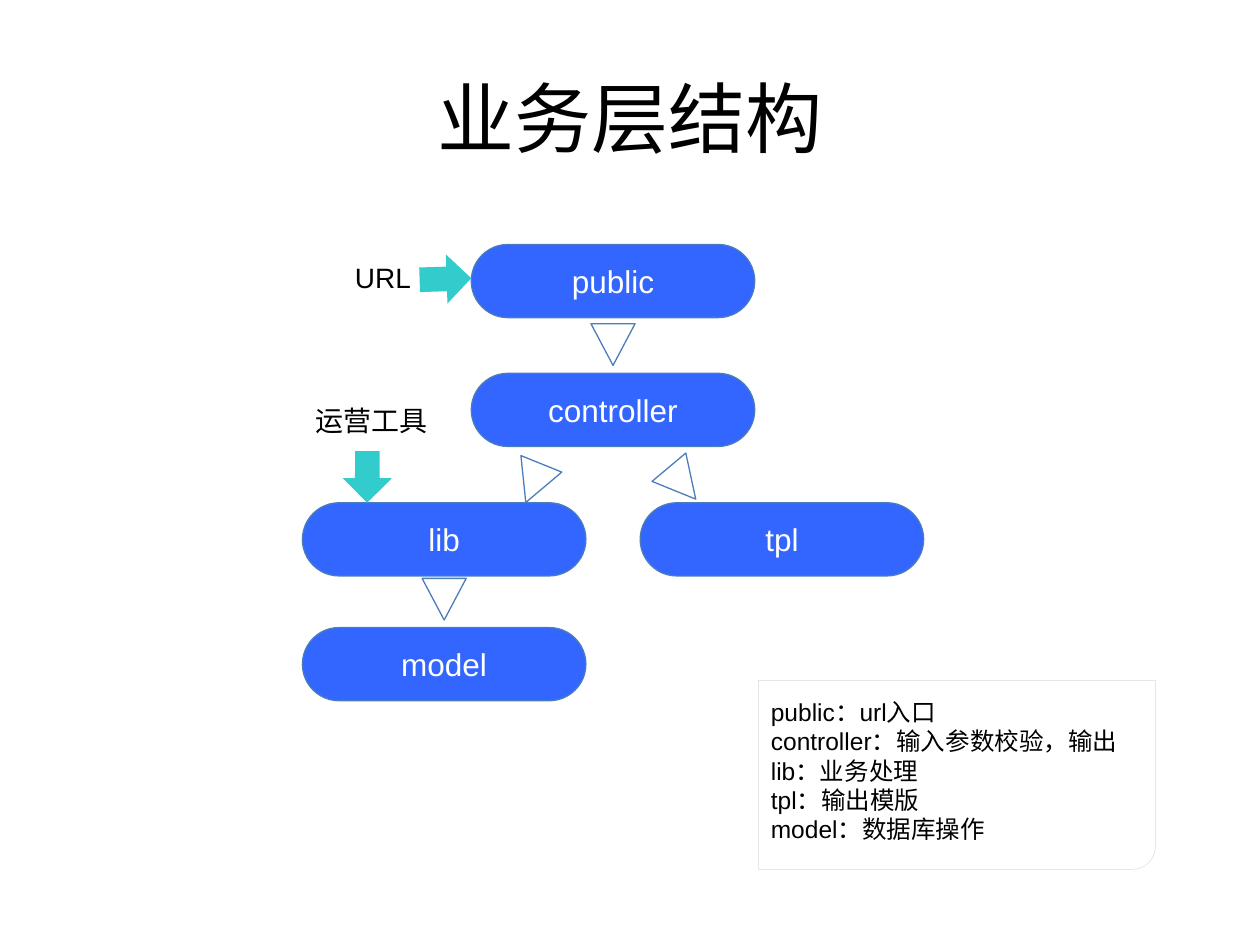
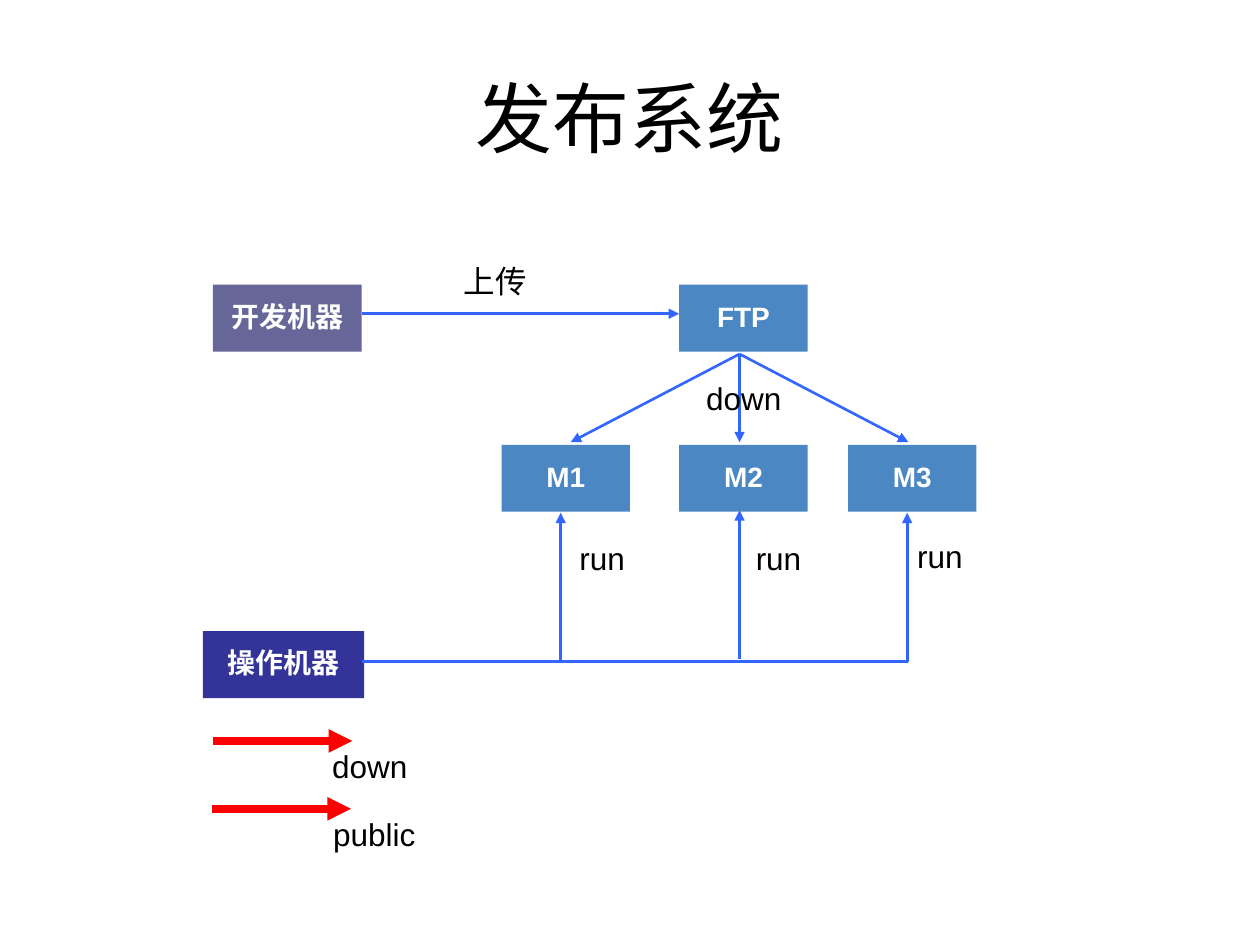
from dataclasses import dataclass

from lxml import etree
from pptx import Presentation
from pptx.dml.color import RGBColor
from pptx.enum.shapes import MSO_CONNECTOR, MSO_SHAPE
from pptx.enum.text import MSO_ANCHOR, MSO_AUTO_SIZE, PP_ALIGN
from pptx.oxml.ns import qn
from pptx.util import Pt

STRAIGHT = MSO_CONNECTOR.STRAIGHT
PILL = MSO_SHAPE.ROUNDED_RECTANGLE
TRIANGLE = MSO_SHAPE.FLOWCHART_EXTRACT
BLOCK_ARROW = MSO_SHAPE.RIGHT_ARROW
NOTE_CARD = MSO_SHAPE.ROUND_1_RECTANGLE
RECTANGLE = MSO_SHAPE.RECTANGLE
MIDDLE = MSO_ANCHOR.MIDDLE
CENTER = PP_ALIGN.CENTER
LEFT = PP_ALIGN.LEFT
FIT_SHAPE = MSO_AUTO_SIZE.SHAPE_TO_FIT_TEXT
NO_FIT = MSO_AUTO_SIZE.NONE
TITLE_ONLY = 5


@dataclass(frozen=True)
class Theme:
    title_font: str = "Cabin"
    body_font: str = "Arial"
    title_size: float = 44
    large: float = 18
    medium: float = 16
    small: float = 14
    black: str = "000000"
    white: str = "FFFFFF"
    layer: str = "3366FF"
    outline: str = "4A7DBA"
    entry: str = "33CCCC"
    card_edge: str = "D9D9D9"
    server: str = "4B87C3"
    developer: str = "666699"
    operator: str = "333399"
    flow: str = "3366FF"
    command: str = "FF0000"


THEME = Theme()
PILL_W, PILL_H = 162, 41.8
TRIANGLE_W, TRIANGLE_H = 25.2, 23.8
MACHINE_H = 38.2
SERVER_W = 73.4


def color(code):
    return RGBColor.from_string(code)


def points(*lengths):
    return [Pt(length) for length in lengths]


def write(paragraph, text, size, ink, font=THEME.body_font, bold=False, align=LEFT):
    paragraph.alignment = align
    run = paragraph.add_run()
    run.text = text
    run.font.name = font
    run.font.size = Pt(size)
    run.font.bold = bold
    run.font.color.rgb = color(ink)


def add_titled_slide(deck, heading):
    slide = deck.slides.add_slide(deck.slide_layouts[TITLE_ONLY])
    title = slide.shapes.title
    title.left, title.top, title.width, title.height = points(36, 21.6, 648, 90)
    frame = title.text_frame
    frame.auto_size = NO_FIT
    frame.vertical_anchor = MIDDLE
    write(frame.paragraphs[0], heading, THEME.title_size, THEME.black,
          THEME.title_font, align=CENTER)
    return slide


def add_figure(slide, preset, box, fill, edge=None, edge_width=0.75, rotation=0):
    figure = slide.shapes.add_shape(preset, *points(*box))
    figure.shadow.inherit = False
    figure.rotation = rotation
    figure.fill.solid()
    figure.fill.fore_color.rgb = color(fill)
    if edge:
        figure.line.color.rgb = color(edge)
        figure.line.width = Pt(edge_width)
    else:
        figure.line.fill.background()
    return figure


def add_layer(slide, name, left, top):
    pill = add_figure(slide, PILL, (left, top, PILL_W, PILL_H), THEME.layer, THEME.outline)
    pill.adjustments[0] = 0.5
    frame = pill.text_frame
    frame.word_wrap = False
    frame.vertical_anchor = MIDDLE
    write(frame.paragraphs[0], name, THEME.large, THEME.white, align=CENTER)


def add_call(slide, center, top, rotation=180):
    box = (center - TRIANGLE_W / 2, top, TRIANGLE_W, TRIANGLE_H)
    add_figure(slide, TRIANGLE, box, THEME.white, THEME.outline, rotation=rotation)


def add_entry(slide, left, top, rotation):
    add_figure(slide, BLOCK_ARROW, (left, top, 29.5, 28.1), THEME.entry, rotation=rotation)


def add_label(slide, lines, box, size=THEME.large, align=LEFT):
    frame = slide.shapes.add_textbox(*points(*box)).text_frame
    frame.word_wrap = True
    frame.auto_size = FIT_SHAPE
    for index, line in enumerate(lines):
        paragraph = frame.add_paragraph() if index else frame.paragraphs[0]
        write(paragraph, line, size, THEME.black, align=align)


def add_machine(slide, name, left, top, width, fill):
    machine = add_figure(slide, RECTANGLE, (left, top, width, MACHINE_H), fill)
    frame = machine.text_frame
    frame.word_wrap = False
    frame.vertical_anchor = MIDDLE
    frame.margin_left = frame.margin_right = Pt(5.8)
    frame.margin_top = frame.margin_bottom = Pt(2.9)
    paragraph = frame.paragraphs[0]
    paragraph.line_spacing = 0.9
    write(paragraph, name, THEME.medium, THEME.white, bold=True, align=CENTER)


def add_flow(slide, start, end, ink=THEME.flow, width=1.5, arrow=True):
    flow = slide.shapes.add_connector(STRAIGHT, *points(*start, *end))
    flow.line.color.rgb = color(ink)
    flow.line.width = Pt(width)
    if arrow:
        etree.SubElement(flow.line._get_or_add_ln(), qn("a:tailEnd"), type="triangle")
    etree.SubElement(flow._element.spPr, qn("a:effectLst"))


def build_layers(deck):
    slide = add_titled_slide(deck, "业务层结构")
    trunk, lib_left, tpl_left = 269.3, 172.8, 365.8
    for name, left, top in (
        ("public", trunk, 139.7),
        ("controller", trunk, 213.3),
        ("lib", lib_left, 287.3),
        ("model", lib_left, 358.6),
        ("tpl", tpl_left, 287.3),
    ):
        add_layer(slide, name, left, top)

    add_call(slide, trunk + PILL_W / 2, 185)
    add_call(slide, lib_left + PILL_W / 2, 330.5)
    add_call(slide, 304.9, 264.2, 202)
    add_call(slide, 389.9, 264.2, 140)

    add_entry(slide, 239.8, 145.4, 358.2)
    add_label(slide, ["URL"], (195.8, 145.4, 79.2, 26.6), THEME.medium)
    add_entry(slide, 195.1, 258.5, 90.2)
    add_label(slide, ["运营工具"], (172.8, 226.8, 79.2, 26.6), THEME.medium, CENTER)

    card_w, card_h = 226.8, 108
    turned_box = (433.4 + (card_w - card_h) / 2, 388.8 - (card_w - card_h) / 2, card_h, card_w)
    card = add_figure(slide, NOTE_CARD, turned_box, THEME.white, THEME.card_edge, 0.25, 90)
    card.adjustments[0] = 0.12
    add_label(slide, [
        "public：url入口",
        "controller：输入参数校验，输出",
        "lib：业务处理",
        "tpl：输出模版",
        "model：数据库操作",
    ], (433.4, 394.6, 238.3, 91.4), THEME.small)


def build_release(deck):
    slide = add_titled_slide(deck, "发布系统")
    hub, server_top, ftp_top = 422.6, 254.2, 162.7
    for name, left, top in (
        ("M1", 286.6, server_top),
        ("M2", 388.1, server_top),
        ("M3", 484.6, server_top),
        ("FTP", 388.1, ftp_top),
    ):
        add_machine(slide, name, left, top, SERVER_W, THEME.server)
    add_machine(slide, "开发机器", 121.7, ftp_top, 85, THEME.developer)
    add_machine(slide, "操作机器", 115.9, 360.7, 92.2, THEME.operator)

    add_flow(slide, (206.6, 179.3), (388.1, 179.3))
    for spread in (-96.5, 0, 96.5):
        add_flow(slide, (hub, 202.3), (hub + spread, 252.7))
    add_flow(slide, (206.6, 378), (519.1, 378), arrow=False)
    for run_x, bottom in ((320.4, 378), (hub, 376.6), (518.4, 378)):
        add_flow(slide, (run_x, bottom), (run_x, bottom - 85))

    for left, top in ((324, 304.6), (424.8, 304.6), (517, 303.1)):
        add_label(slide, ["run"], (left, top, 47.5, 28.8))
    add_label(slide, ["上传"], (257.8, 146.2, 62.6, 28.8))
    add_label(slide, ["down"], (393.8, 213.1, 62.6, 28.8), align=CENTER)

    for name, left, width, start, top in (
        ("down", 181.4, 59.8, 121.7, 423.4),
        ("public", 175.7, 76.3, 121, 462.2),
    ):
        add_label(slide, [name], (left, top, width, 28.8), align=CENTER)
        add_flow(slide, (start, top), (start + 79.6, top), THEME.command, 4.5)


def main():
    deck = Presentation()
    deck.slide_width, deck.slide_height = points(720, 540)
    build_layers(deck)
    build_release(deck)
    deck.save("out.pptx")


if __name__ == "__main__":
    main()
